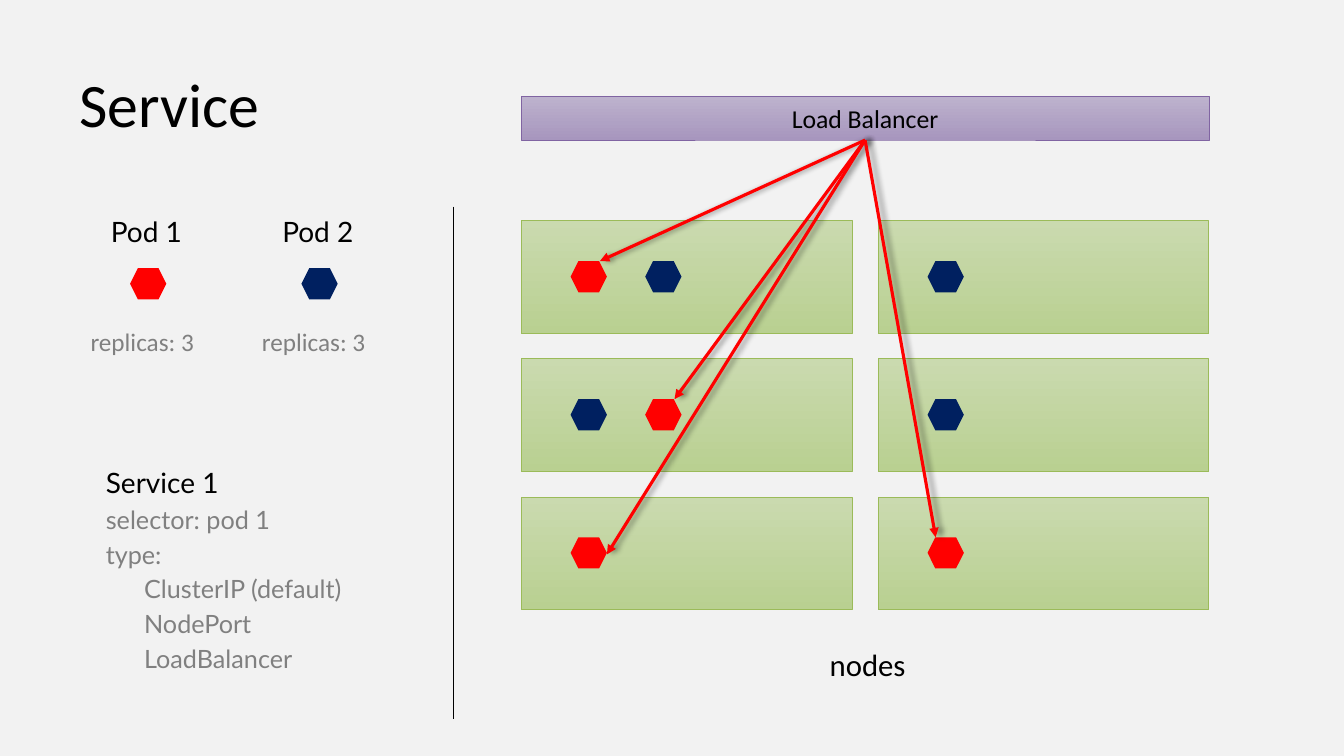
import pptx
import pptx.util
import pptx.dml.color
import pptx.enum.shapes
import pptx.enum.text
import pptx.oxml
from pptx.oxml.ns import nsdecls
from pptx.util import Inches

COLORS = {
    "background": "F2F2F2", "text": "000000", "muted": "808080",
    "red": "FF0000", "navy": "002060",
    "node_top": "CADAAF", "node_bottom": "B9D091", "node_line": "9BBB59",
    "balancer_top": "BDB2CD", "balancer_bottom": "A796BE", "balancer_line": "8064A2",
}
SHAPES = pptx.enum.shapes.MSO_SHAPE
ALIGN = pptx.enum.text.PP_ALIGN
MIDDLE = pptx.enum.text.MSO_ANCHOR.MIDDLE
POD_W, POD_H = 0.36, 0.31
NODE_W, NODE_H = 3.28, 1.12
NODE_LEFTS = (5.17, 8.71)
NODE_TOP, NODE_PITCH = 2.19, 1.37
PADDED = {"margin_left": Inches(0.18), "margin_right": Inches(0.18),
          "margin_top": Inches(0.14), "margin_bottom": Inches(0.14)}
SPACED = {"line_spacing": 0.9, "space_after": pptx.util.Pt(5.4)}


def rgb(name):
    return pptx.dml.color.RGBColor.from_string(COLORS[name])


def apply(target, formats):
    for name, value in formats.items():
        setattr(target, name, value)


def write(tf, lines, font, frame=None, para=None):
    apply(tf, {"word_wrap": True, **(frame or {})})
    for i, (text, size, color, indent) in enumerate(lines):
        p = tf.add_paragraph() if i else tf.paragraphs[0]
        apply(p, para or {})
        if indent:
            p._p.get_or_add_pPr().set("marL", str(Inches(indent)))
        r = p.add_run()
        r.text = text
        apply(r.font, {"name": font, "size": pptx.util.Pt(size)})
        r.font.color.rgb = rgb(color)


def add_text(s, box, lines, font, frame=None, para=None):
    sp = s.shapes.add_textbox(*map(Inches, box))
    write(sp.text_frame, lines, font, frame, para)


def add_bar(s, box, kind):
    sp = s.shapes.add_shape(SHAPES.RECTANGLE, *map(Inches, box))
    sp.shadow.inherit = False
    sp.fill.gradient()
    sp.fill.gradient_angle = 270
    for stop, end, position in zip(sp.fill.gradient_stops, ("top", "bottom"), (0, 1)):
        stop.color.rgb = rgb(f"{kind}_{end}")
        stop.position = position
    sp.line.color.rgb = rgb(f"{kind}_line")
    sp.line.width = pptx.util.Pt(0.5)
    return sp


def add_pod(s, left, top, color):
    sp = s.shapes.add_shape(SHAPES.HEXAGON, *map(Inches, (left, top, POD_W, POD_H)))
    sp.shadow.inherit = False
    sp.fill.solid()
    sp.fill.fore_color.rgb = rgb(color)
    sp.line.fill.background()


def add_line(s, start, end, color, width, arrow=False):
    c = s.shapes.add_connector(pptx.enum.shapes.MSO_CONNECTOR.STRAIGHT,
                               *map(Inches, (*start, *end)))
    c.line.color.rgb = rgb(color)
    c.line.width = pptx.util.Pt(width)
    shadow = ""
    if arrow:
        c.line._get_or_add_ln().append(pptx.oxml.parse_xml(
            f'<a:tailEnd {nsdecls("a")} type="triangle"/>'))
        shadow = ('<a:outerShdw blurRad="50800" dist="38100" dir="0">'
                  f'<a:srgbClr val="{COLORS["text"]}"><a:alpha val="40000"/>'
                  '</a:srgbClr></a:outerShdw>')
    c._element.spPr.append(pptx.oxml.parse_xml(
        f'<a:effectLst {nsdecls("a")}>{shadow}</a:effectLst>'))


def pod_position(col, row, slot):
    return NODE_LEFTS[col] + 0.49 + 0.74 * slot, NODE_TOP + NODE_PITCH * row + 0.4


def add_legend(s):
    for i, (name, color) in enumerate((("Pod 1", "red"), ("Pod 2", "navy"))):
        shift = 1.7 * i
        add_text(s, (0.92 + shift, 2.03, 1.2, 0.59), [(name, 20, "text", 0)],
                 "Lato", PADDED, SPACED)
        add_pod(s, 1.29 + shift, 2.66, color)
        add_text(s, (0.8 + shift, 3.19, 1.24, 0.4), [("replicas: 3", 18, "muted", 0)],
                 "Calibri", {"word_wrap": False})


def add_service(s):
    lines = [("Service 1", 20, "text", 0)]
    lines += [(text, 18, "muted", 0) for text in ("selector: pod 1", "type:")]
    lines += [(text, 18, "muted", 0.38)
              for text in ("ClusterIP (default)", "NodePort", "LoadBalancer")]
    add_text(s, (0.87, 4.52, 2.96, 2.31), lines, "Lato", PADDED, SPACED)


def add_cluster(s):
    for row in range(3):
        for left in NODE_LEFTS:
            add_bar(s, (left, NODE_TOP + NODE_PITCH * row, NODE_W, NODE_H), "node")
    balancer = add_bar(s, (5.17, 0.96, 6.82, 0.43), "balancer")
    write(balancer.text_frame, [("Load Balancer", 18.4, "text", 0)], "Calibri",
          {"margin_left": 0, "margin_right": 0, "vertical_anchor": MIDDLE},
          {"alignment": ALIGN.CENTER})
    for place in ((0, 0, 1), (0, 1, 0), (1, 0, 0), (1, 1, 0)):
        add_pod(s, *pod_position(*place), "navy")
    targets = {(0, 0, 0): (0.29, 0), (0, 1, 1): (0.29, 0),
               (0, 2, 0): (POD_W, 0.17), (1, 2, 0): (0.08, 0)}
    for place in targets:
        add_pod(s, *pod_position(*place), "red")
    for place, (dx, dy) in targets.items():
        left, top = pod_position(*place)
        add_line(s, (8.58, 1.39), (left + dx, top + dy), "red", 2.25, arrow=True)
    add_text(s, (4.81, 6.3, 7.59, 0.63), [("nodes", 22, "text", 0)], "Calibri",
             {**PADDED, "margin_top": Inches(0.15)},
             {**SPACED, "alignment": ALIGN.CENTER})


def main():
    prs = pptx.Presentation()
    apply(prs, {"slide_width": Inches(13.33), "slide_height": Inches(7.5)})
    s = prs.slides.add_slide(prs.slide_layouts[6])
    s.background.fill.solid()
    s.background.fill.fore_color.rgb = rgb("background")
    add_text(s, (0.69, 0.62, 11.72, 0.9), [("Service", 44.1, "text", 0)], "Calibri",
             {"vertical_anchor": MIDDLE}, {"line_spacing": 0.9})
    add_line(s, (4.5, 2.05), (4.5, 7.13), "text", 1)
    add_legend(s)
    add_service(s)
    add_cluster(s)
    prs.save("out.pptx")


if __name__ == "__main__":
    main()
